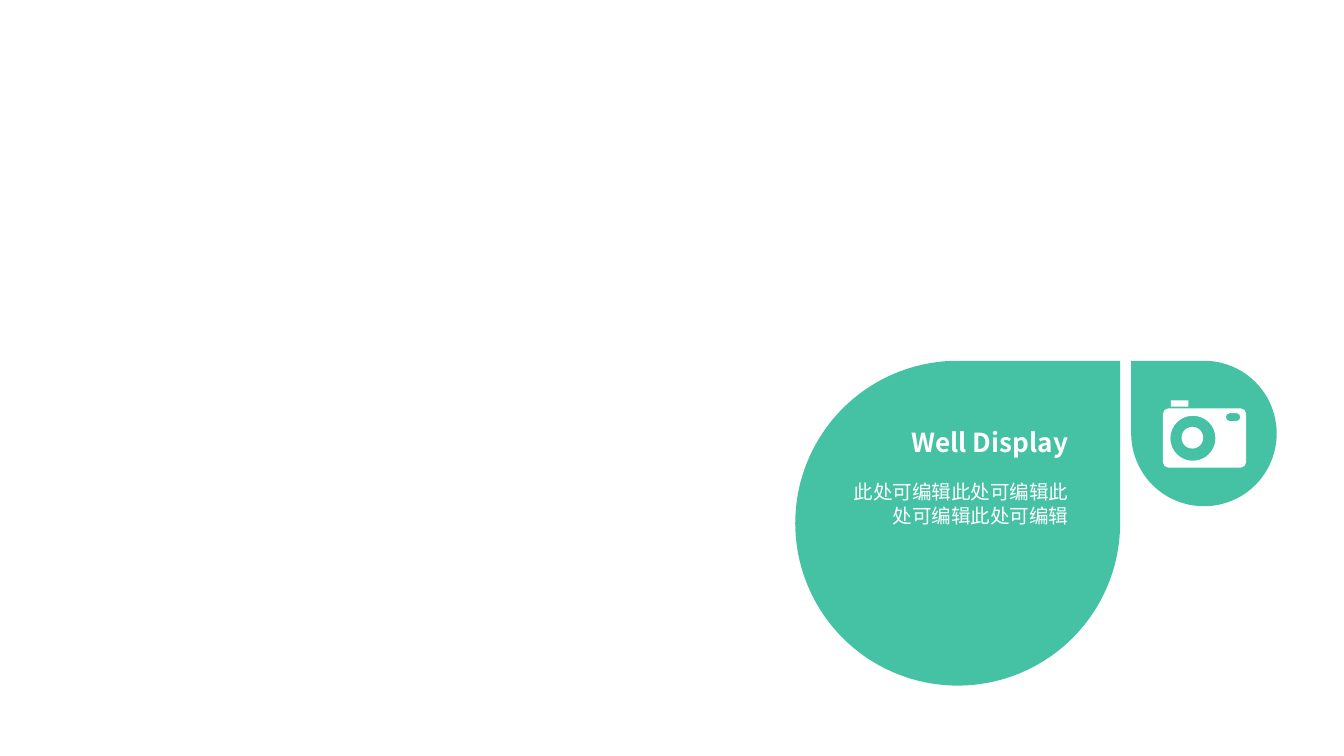
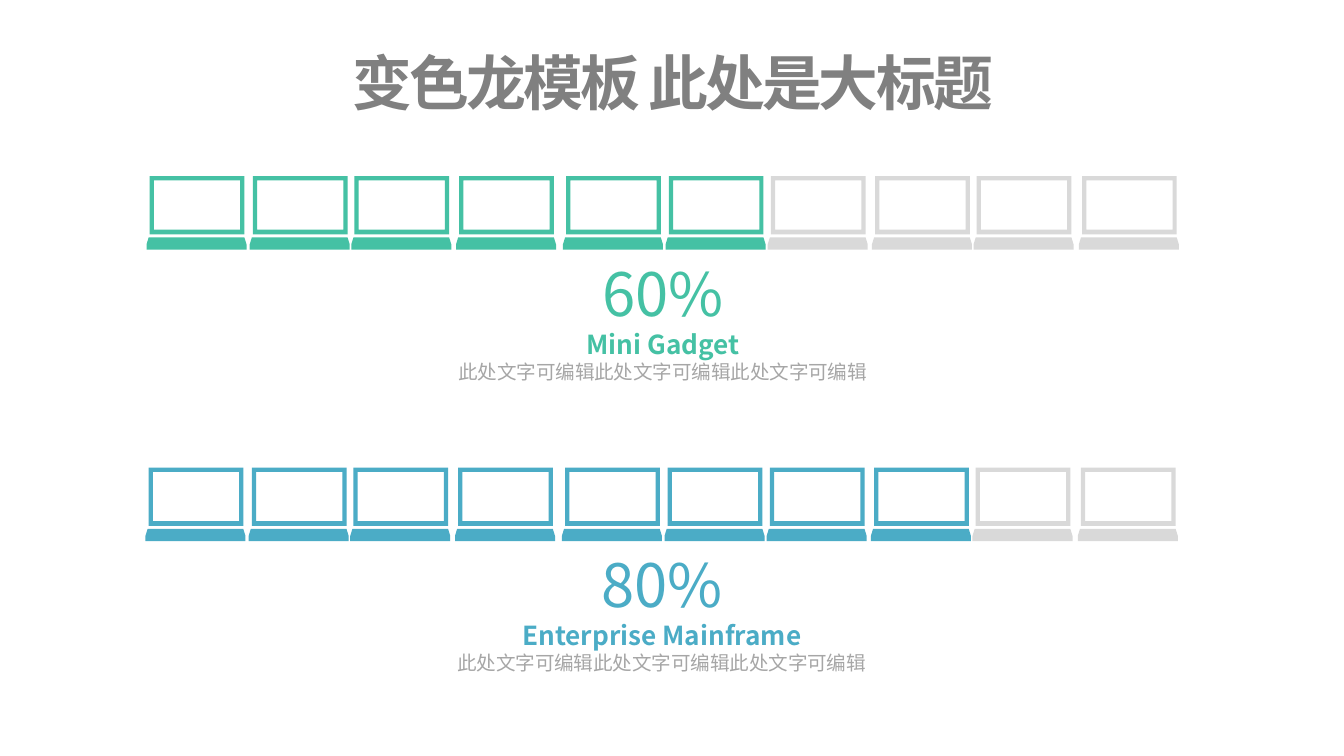
from dataclasses import dataclass

from lxml import etree
from pptx import Presentation
from pptx import util as u
from pptx.dml.color import RGBColor
from pptx.enum import shapes, text
from pptx.oxml.ns import qn


@dataclass(frozen=True)
class Theme:
    """Colours, font and type sizes shared by the slides."""
    font: str = "Noto Sans CJK SC"
    green: str = "45C1A4"
    blue: str = "4BACC6"
    idle: str = "D9D9D9"
    white: str = "FFFFFF"
    title_grey: str = "808080"
    note_grey: str = "A6A6A6"
    display: float = 32
    heading: float = 14
    note: float = 10.5
    leading: float = 1.2


THEME = Theme()
TITLE_ONLY = 5
ARC = 0.45
LAPTOP_OFFSETS = (0, 1.95, 3.87, 5.85, 7.87, 9.81, 11.74, 13.71, 15.63, 17.62)
FRAME = {
    "margin_left": u.Cm(0.13), "margin_right": u.Cm(0.13),
    "margin_top": u.Cm(0.08), "margin_bottom": u.Cm(0.08),
    "word_wrap": True, "vertical_anchor": text.MSO_ANCHOR.TOP,
    "auto_size": text.MSO_AUTO_SIZE.SHAPE_TO_FIT_TEXT,
}


def set_all(target, values):
    """Set every attribute in a dict of format values."""
    for name, value in values.items():
        setattr(target, name, value)


def paint(shape, colour):
    """Give a shape a flat fill with neither line nor shadow."""
    shape.shadow.inherit = False
    shape.fill.solid()
    shape.fill.fore_color.rgb = RGBColor.from_string(colour)
    shape.line.fill.background()


def write(shape, align, lines, gap=0, tracking=None):
    """Fill a shape with paragraphs of (wording, size, colour, bold)."""
    frame = shape.text_frame
    set_all(frame, FRAME)
    for index, (wording, size, colour, bold) in enumerate(lines):
        paragraph = frame.add_paragraph() if index else frame.paragraphs[0]
        set_all(paragraph, {"alignment": align,
                            "space_before": u.Pt(gap if index else 0),
                            "line_spacing": u.Pt(size * THEME.leading)})
        run = paragraph.add_run()
        run.text = wording
        set_all(run.font, {"size": u.Pt(size), "bold": bold, "name": THEME.font})
        run.font.color.rgb = RGBColor.from_string(colour)
        properties = run._r.get_or_add_rPr()
        etree.SubElement(properties, qn("a:ea")).set("typeface", THEME.font)
        if tracking is not None:
            properties.set("spc", str(round(tracking * 100)))


def title(slide, box, align, lines, **spacing):
    """Place the title placeholder in front of what is already drawn."""
    heading = slide.shapes.title
    set_all(heading, dict(zip(("left", "top", "width", "height"), map(u.Cm, box))))
    write(heading, align, lines, **spacing)
    heading.element.getparent().append(heading.element)


def preset(parent, kind, box, colour, flip=False):
    """Add a painted preset shape, mirrored if asked."""
    shape = parent.shapes.add_shape(kind, *map(u.Cm, box))
    paint(shape, colour)
    if flip:
        shape.element.spPr.xfrm.set("flipH", "1")


def outline(parent, contours, colour):
    """Add one freeform; contours after the first are holes."""
    contours = [[(u.Cm(x), u.Cm(y)) for x, y in points] for points in contours]
    builder = parent.shapes.build_freeform(*contours[0][0])
    for index, points in enumerate(contours):
        if index:
            builder.move_to(*points[0])
        builder.add_line_segments(points[1:], close=True)
    shape = builder.convert_to_shape()
    paint(shape, colour)
    return shape


def rectangle(left, top, width, height):
    """Return the corners of a rectangle."""
    right, bottom = left + width, top + height
    return [(left, top), (right, top), (right, bottom), (left, bottom)]


def rounded(left, top, width, height, radius):
    """Return start, two controls and end of each rounded corner."""
    right, bottom, near = left + width, top + height, radius * ARC
    return [
        (left, top + radius), (left, top + near), (left + near, top), (left + radius, top),
        (right - radius, top), (right - near, top), (right, top + near), (right, top + radius),
        (right, bottom - radius), (right, bottom - near),
        (right - near, bottom), (right - radius, bottom),
        (left + radius, bottom), (left + near, bottom),
        (left, bottom - near), (left, bottom - radius),
    ]


def curve_corners(shape):
    """Turn the three segments of each rounded corner into one curve."""
    segments = list(shape.element.iter(qn("a:lnTo")))
    for contour in range(0, len(segments), 15):
        for corner in range(contour, contour + 15, 4):
            first, second, last = segments[corner:corner + 3]
            first.tag = qn("a:cubicBezTo")
            for segment in (second, last):
                first.append(segment[0])
                segment.getparent().remove(segment)


def camera(slide):
    """Draw the camera icon."""
    icon = slide.shapes.add_group_shape()
    body = rounded(21.98, 7.72, 1.57, 1.12, 0.1)
    lens = rounded(22.12, 7.86, 0.85, 0.85, 0.42)
    flash = rounded(23.17, 7.81, 0.27, 0.15, 0.07)
    curve_corners(outline(icon, [body, lens, flash], THEME.white))
    preset(icon, shapes.MSO_SHAPE.RECTANGLE, (22.13, 7.57, 0.33, 0.12), THEME.white)
    preset(icon, shapes.MSO_SHAPE.OVAL, (22.33, 8.07, 0.41, 0.41), THEME.white)


def laptop(slide, left, top, colour):
    """Draw a laptop icon: a hollow screen over a keyboard."""
    icon = slide.shapes.add_group_shape()
    screen = rectangle(left + 0.06, top, 1.79, 1.1)
    opening = rectangle(left + 0.14, top + 0.08, 1.63, 0.93)
    outline(icon, [screen, opening], colour)
    keyboard = [(0.04, 0), (1.85, 0), (1.89, 0.13), (1.89, 0.23), (0, 0.23), (0, 0.13)]
    outline(icon, [[(left + x, top + 1.16 + y) for x, y in keyboard]], colour)


def laptop_scale(slide, left, top, percent, product, colour):
    """Show a percentage as a row of laptops with a caption below."""
    for index, offset in enumerate(LAPTOP_OFFSETS):
        reached = index * 100 < percent * len(LAPTOP_OFFSETS)
        laptop(slide, left + offset, top, colour if reached else THEME.idle)
    box = (left + 5.34, top + 1.44, 8.84, 2.54)
    write(slide.shapes.add_textbox(*map(u.Cm, box)), text.PP_ALIGN.CENTER, [
        (f"{percent}%", THEME.display, colour, False),
        (product, THEME.heading, colour, True),
        ("此处文字可编辑" * 3, THEME.note, THEME.note_grey, False),
    ])


def display_slide(slide):
    """Build the slide with two drops and a camera."""
    preset(slide, shapes.MSO_SHAPE.TEAR, (15.03, 6.82, 6.14, 6.14), THEME.green)
    preset(slide, shapes.MSO_SHAPE.TEAR, (21.38, 6.82, 2.75, 2.75), THEME.green, flip=True)
    title(slide, (15.77, 7.98, 4.55, 2.08), text.PP_ALIGN.RIGHT, [
        ("Well Display", THEME.heading, THEME.white, True),
        ("此处可编辑" * 4, THEME.note, THEME.white, False),
    ], gap=12)
    camera(slide)


def share_slide(slide):
    """Build the slide with two laptop scales."""
    title(slide, (-0.03, 0.79, 25.48, 1.5), text.PP_ALIGN.CENTER, [
        ("变色龙模板 此处是大标题", THEME.display, THEME.title_grey, True),
    ], tracking=-1.5)
    laptop_scale(slide, 2.77, 3.33, 60, "Mini Gadget", THEME.green)
    laptop_scale(slide, 2.75, 8.84, 80, "Enterprise Mainframe", THEME.blue)


def main():
    """Build and save the presentation."""
    deck = Presentation()
    set_all(deck, {"slide_width": u.Cm(25.4), "slide_height": u.Cm(14.29)})
    for build in (display_slide, share_slide):
        build(deck.slides.add_slide(deck.slide_layouts[TITLE_ONLY]))
    deck.save("out.pptx")


if __name__ == "__main__":
    main()
